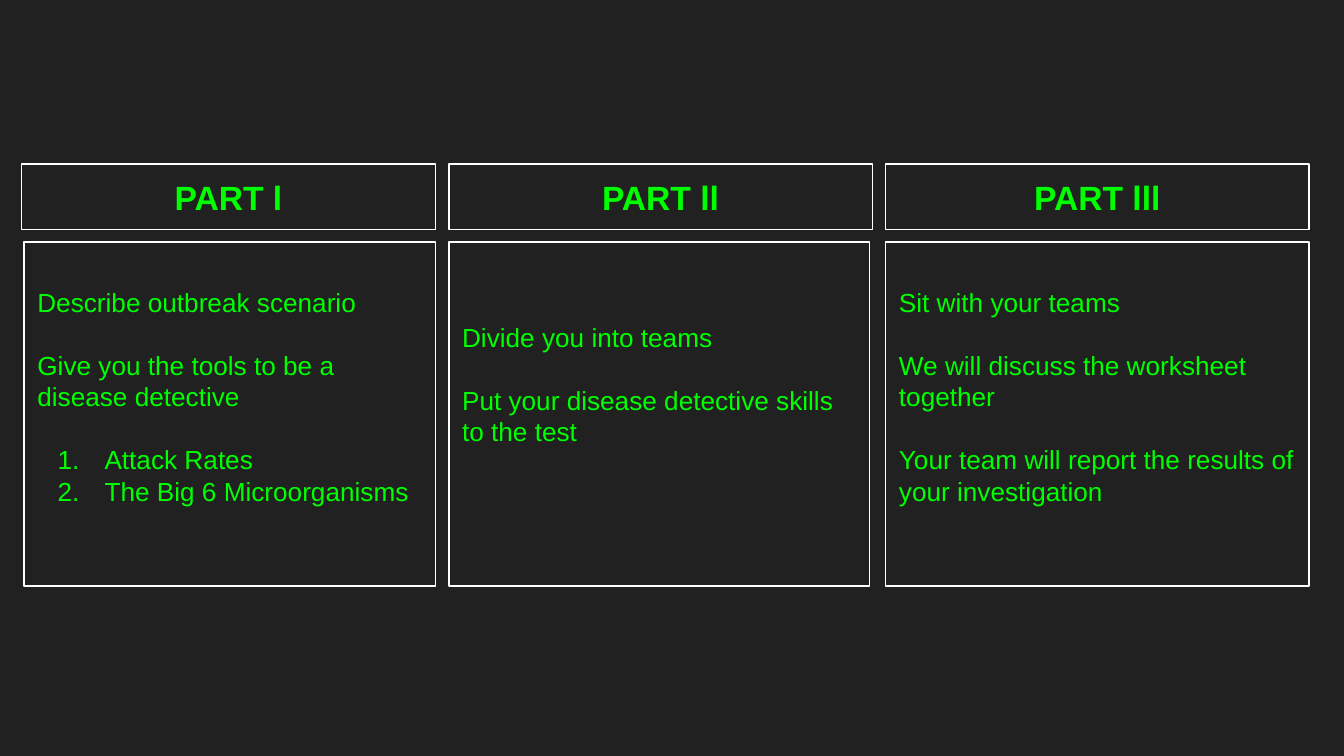
from lxml import etree
from pptx import Presentation
from pptx.dml.color import RGBColor
from pptx.enum.shapes import MSO_SHAPE
from pptx.enum.text import MSO_ANCHOR, PP_ALIGN
from pptx.oxml.ns import qn
from pptx.util import Inches, Pt

RECTANGLE = MSO_SHAPE.RECTANGLE
TOP, MIDDLE = MSO_ANCHOR.TOP, MSO_ANCHOR.MIDDLE
LEFT, CENTER = PP_ALIGN.LEFT, PP_ALIGN.CENTER

DARK, WHITE, GREEN = "212121", "FFFFFF", "00FF00"
FONT = "Arial"
MARGIN = 0.1
PARAGRAPH_GAP = 17

SLIDE_WIDTH = 10
SLIDE_HEIGHT = SLIDE_WIDTH * 9 / 16
HEADING_TOP, HEADING_HEIGHT = 1.22, 0.49
BODY_TOP, BODY_HEIGHT = 1.8, 2.56

# Each box is (left, width); text_inset is the space above the body text.
PARTS = [
    {
        "heading": "PART l",
        "heading_box": (0.16, 3.08),
        "body_box": (0.18, 3.06),
        "text_inset": 0.33,
        "paragraphs": [
            "Describe outbreak scenario",
            "Give you the tools to be a disease detective",
        ],
        "numbered": ["Attack Rates", "The Big 6 Microorganisms"],
    },
    {
        "heading": "PART ll",
        "heading_box": (3.34, 3.15),
        "body_box": (3.34, 3.13),
        "text_inset": 0.59,
        "paragraphs": [
            "Divide you into teams",
            "Put your disease detective skills to the test",
        ],
        "numbered": [],
    },
    {
        "heading": "PART lll",
        "heading_box": (6.59, 3.15),
        "body_box": (6.59, 3.15),
        "text_inset": 0.33,
        "paragraphs": [
            "Sit with your teams",
            "We will discuss the worksheet together",
            "Your team will report the results of your investigation",
        ],
        "numbered": [],
    },
]


def paint(color_format, color):
    color_format.rgb = RGBColor.from_string(color)


def add_box(page, left, top, width, height, anchor, text_inset=MARGIN):
    box = page.shapes.add_shape(
        RECTANGLE, Inches(left), Inches(top), Inches(width), Inches(height)
    )
    box.shadow.inherit = False
    box.fill.solid()
    paint(box.fill.fore_color, DARK)
    paint(box.line.color, WHITE)
    box.line.width = Pt(0.75)
    frame = box.text_frame
    frame.word_wrap = True
    frame.vertical_anchor = anchor
    frame.margin_left = frame.margin_right = frame.margin_bottom = Inches(MARGIN)
    frame.margin_top = Inches(text_inset)
    return frame


def write(paragraph, text, size, align=LEFT, bold=False):
    paragraph.alignment = align
    span = paragraph.add_run()
    span.text = text
    span.font.name = FONT
    span.font.size = Pt(size)
    span.font.bold = bold
    paint(span.font.color, GREEN)


def number(paragraph):
    """Give the paragraph a green automatic number and a hanging indent."""
    properties = paragraph._p.get_or_add_pPr()
    properties.set("marL", str(Inches(0.5)))
    properties.set("indent", str(Inches(-0.35)))
    color = etree.SubElement(properties, qn("a:buClr"))
    etree.SubElement(color, qn("a:srgbClr"), val=GREEN)
    etree.SubElement(properties, qn("a:buAutoNum"), type="arabicPeriod")


def fill_body(frame, paragraphs, numbered):
    for index, text in enumerate(paragraphs + numbered):
        paragraph = frame.add_paragraph() if index else frame.paragraphs[0]
        if index >= len(paragraphs):
            number(paragraph)
        if 0 < index <= len(paragraphs):
            paragraph.space_before = Pt(PARAGRAPH_GAP)
        write(paragraph, text, 14)


def main():
    deck = Presentation()
    deck.slide_width, deck.slide_height = Inches(SLIDE_WIDTH), Inches(SLIDE_HEIGHT)
    page = deck.slides.add_slide(deck.slide_layouts[6])
    page.background.fill.solid()
    paint(page.background.fill.fore_color, DARK)

    for part in PARTS:
        left, width = part["heading_box"]
        heading = add_box(page, left, HEADING_TOP, width, HEADING_HEIGHT, MIDDLE)
        write(heading.paragraphs[0], part["heading"], 18, CENTER, bold=True)

    for part in PARTS:
        left, width = part["body_box"]
        body = add_box(
            page, left, BODY_TOP, width, BODY_HEIGHT, TOP, part["text_inset"]
        )
        fill_body(body, part["paragraphs"], part["numbered"])

    deck.save("out.pptx")


if __name__ == "__main__":
    main()
